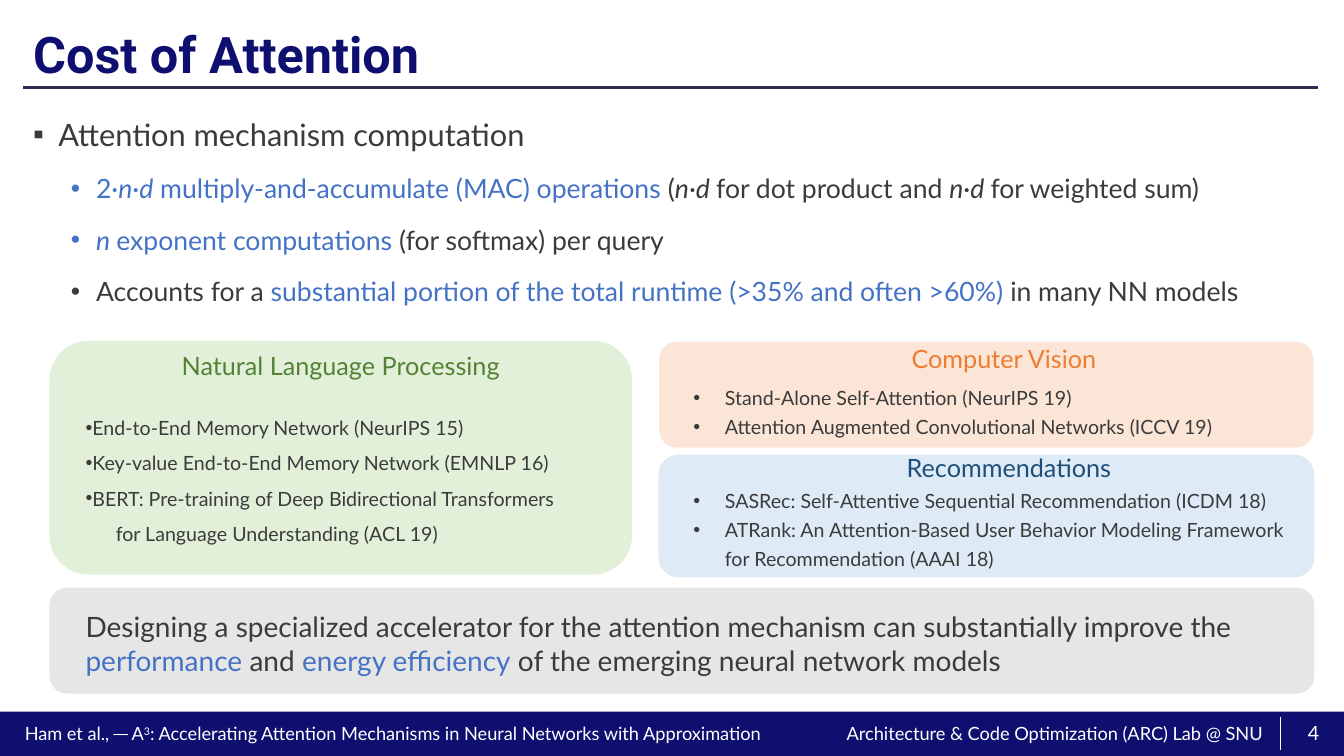
import pptx
import pptx.util
import pptx.dml.color
import pptx.enum.shapes
import pptx.enum.text
import pptx.oxml.ns
import lxml.etree

Pt = pptx.util.Pt
SHAPE = pptx.enum.shapes.MSO_SHAPE
ALIGN = pptx.enum.text.PP_ALIGN
ANCHOR = pptx.enum.text.MSO_ANCHOR
NAVY, WHITE, DARK, BLUE = "0F0F70", "FFFFFF", "3B3B3B", "4472C4"


def color(code):
    return pptx.dml.color.RGBColor.from_string(code)


def add_tag(parent, name, **attrs):
    tag = lxml.etree.SubElement(parent, pptx.oxml.ns.qn(name))
    for key, value in attrs.items():
        tag.set(key, value)


def add_box(slide, kind, area, fill):
    """Draw a filled shape with no outline."""
    box = slide.shapes.add_shape(kind, *map(Pt, area))
    box.shadow.inherit = False
    box.fill.solid()
    box.fill.fore_color.rgb = color(fill)
    box.line.fill.background()


def add_rule(slide, start, end, hue, width):
    kind = pptx.enum.shapes.MSO_CONNECTOR.STRAIGHT
    rule = slide.shapes.add_connector(kind, *map(Pt, start + end))
    rule.line.color.rgb = color(hue)
    rule.line.width = Pt(width)
    add_tag(rule._element.spPr, "a:effectLst")


def add_frame(slide, area, anchor=ANCHOR.TOP, inset=True):
    frame = slide.shapes.add_textbox(*map(Pt, area)).text_frame
    frame.word_wrap = True
    frame.vertical_anchor = anchor
    if not inset:
        frame.margin_left = frame.margin_right = 0
        frame.margin_top = frame.margin_bottom = 0
    return frame


def add_para(frame, runs, size, hue=DARK, font="Lato", align=None, bold=None,
             bullet=None, left=0, hang=0, lines=None, before=0):
    """Add a paragraph; each run is text, or (text, hue, style)."""
    first = frame.paragraphs[0]
    para = frame.add_paragraph() if first.runs else first
    props = para._p.get_or_add_pPr()
    props.set("marL", str(Pt(left)))
    props.set("indent", str(Pt(-hang)))
    if bullet:
        add_tag(props, "a:buFont", typeface="Arial")
        add_tag(props, "a:buChar", char=bullet)
    para.alignment = align
    para.line_spacing = lines
    para.space_before = Pt(before)
    for item in runs:
        text, tint, style = (item, hue, "") if isinstance(item, str) else item
        run = para.add_run()
        run.text = text
        run.font.name = font
        run.font.size = Pt(size)
        run.font.bold = bold
        run.font.color.rgb = color(tint)
        if style == "italic":
            run.font.italic = True
        elif style == "super":
            run._r.get_or_add_rPr().set("baseline", "30000")


def add_head(slide, left, top, text, hue):
    frame = add_frame(slide, (left, top, 324, 18), ANCHOR.MIDDLE)
    add_para(frame, [text], 18, hue, align=ALIGN.CENTER)


def add_title(slide):
    frame = add_frame(slide, (16.56, 13, 926, 55.4), ANCHOR.MIDDLE)
    add_para(frame, ["Cost of Attention"], 36, NAVY, "Roboto", bold=True, lines=0.9)
    add_rule(slide, (16.56, 62.64), (941.76, 62.64), "2C2C54", 2)


def add_body(slide):
    def ital(text, hue=DARK):
        return text, hue, "italic"

    def blue(text):
        return text, BLUE, ""

    points = [
        [blue("2·"), ital("n", BLUE), blue("·"), ital("d", BLUE),
         blue(" multiply-and-accumulate (MAC) operations "), "(",
         ital("n"), "·", ital("d "), "for dot product and ",
         ital("n"), "·", ital("d "), "for weighted sum)"],
        [ital("n ", BLUE), blue("exponent computations "),
         "(for softmax) per query"],
        ["Accounts for a ",
         blue("substantial portion of the total runtime (>35% and often >60%) "),
         "in many NN models"],
    ]
    frame = add_frame(slide, (16.56, 68.4, 926, 324))
    add_para(frame, ["Attention mechanism computation"], 22,
             bullet="▪", left=18, hang=18, lines=1.4)
    for runs in points:
        add_para(frame, runs, 19, bullet="•", left=45, hang=18,
                 lines=1.4, before=5)


def add_fields(slide):
    # Language card
    add_box(slide, SHAPE.ROUNDED_RECTANGLE, (35.28, 243.4, 416.2, 167), "E2F0D9")
    add_head(slide, 81.4, 252, "Natural Language Processing", "548235")
    frame = add_frame(slide, (54, 285.1, 433.4, 106))
    for text in ("End-to-End Memory Network (NeurIPS 15)",
                 "Key-value End-to-End Memory Network (EMNLP 16)",
                 "BERT: Pre-training of Deep Bidirectional Transformers"):
        add_para(frame, [text], 14, bullet="•", lines=1.5)
    add_para(frame, ["for Language Understanding (ACL 19)"], 14, left=21.6, lines=1.5)

    # Cards on the right: box, fill, heading, text area, papers with line spacing
    cards = [
        ((470.9, 244.1, 467.3, 75.6), "FBE5D6",
         (555.1, 247, "Computer Vision", "ED7D31"), (488.2, 267.8, 434, 47.5),
         [("Stand-Alone Self-Attention (NeurIPS 19)", 1.25),
          ("Attention Augmented Convolutional Networks (ICCV 19)", 1.25)]),
        ((470.2, 324.7, 468.7, 87.8), "DEEBF7",
         (558.7, 324.7, "Recommendations", "1F4E79"), (488.2, 337, 449.3, 72.7),
         [("SASRec: Self-Attentive Sequential Recommendation (ICDM 18)", 1.5),
          ("ATRank: An Attention-Based User Behavior Modeling Framework "
           "for Recommendation (AAAI 18)", 1.25)]),
    ]
    for area, fill, head, inner, papers in cards:
        add_box(slide, SHAPE.ROUNDED_RECTANGLE, area, fill)
        add_head(slide, *head)
        frame = add_frame(slide, inner)
        for text, lines in papers:
            add_para(frame, [text], 14, bullet="•", left=22.5, hang=22.5, lines=lines)


def add_claim(slide):
    add_box(slide, SHAPE.ROUNDED_RECTANGLE, (35.28, 419.8, 903.6, 75.6), "E7E6E6")
    frame = add_frame(slide, (54, 432, 865.4, 56.9))
    add_para(frame, ["Designing a specialized accelerator for the attention "
                     "mechanism can substantially improve the ",
                     ("performance", BLUE, ""), " and ",
                     ("energy efficiency", BLUE, ""),
                     " of the emerging neural network models"], 20)


def add_foot(slide):
    add_box(slide, SHAPE.RECTANGLE, (0, 508.3, 960, 31.7), NAVY)
    add_rule(slide, (914.4, 511.9), (914.4, 535.7), WHITE, 0.5)
    cite = ["Ham et al., ─ A", ("3", WHITE, "super"),
            ": Accelerating Attention Mechanisms in Neural Networks "
            "with Approximation"]
    frame = add_frame(slide, (5, 516.2, 550.8, 15.8), inset=False)
    add_para(frame, cite, 13, WHITE, align=ALIGN.CENTER)
    frame = add_frame(slide, (604.8, 516.2, 311, 15.8), inset=False)
    add_para(frame, ["Architecture & Code Optimization (ARC) Lab @ SNU"], 13, WHITE)
    frame = add_frame(slide, (920.9, 509, 34.6, 28.8), ANCHOR.MIDDLE, False)
    add_para(frame, ["4"], 14, WHITE, align=ALIGN.CENTER)


def main():
    deck = pptx.Presentation()
    deck.slide_width, deck.slide_height = Pt(960), Pt(540)
    slide = deck.slides.add_slide(deck.slide_layouts[6])
    add_title(slide)
    add_body(slide)
    add_fields(slide)
    add_claim(slide)
    add_foot(slide)
    deck.save("out.pptx")


if __name__ == "__main__":
    main()
